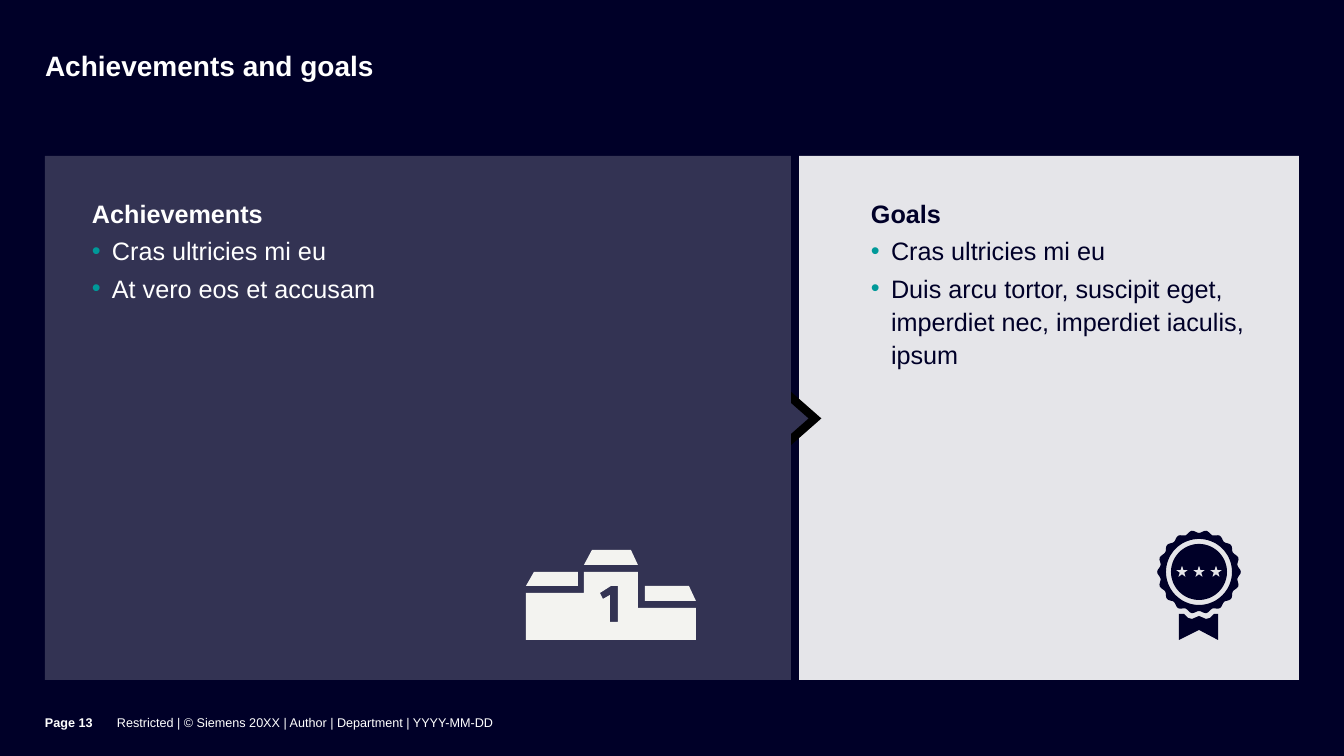
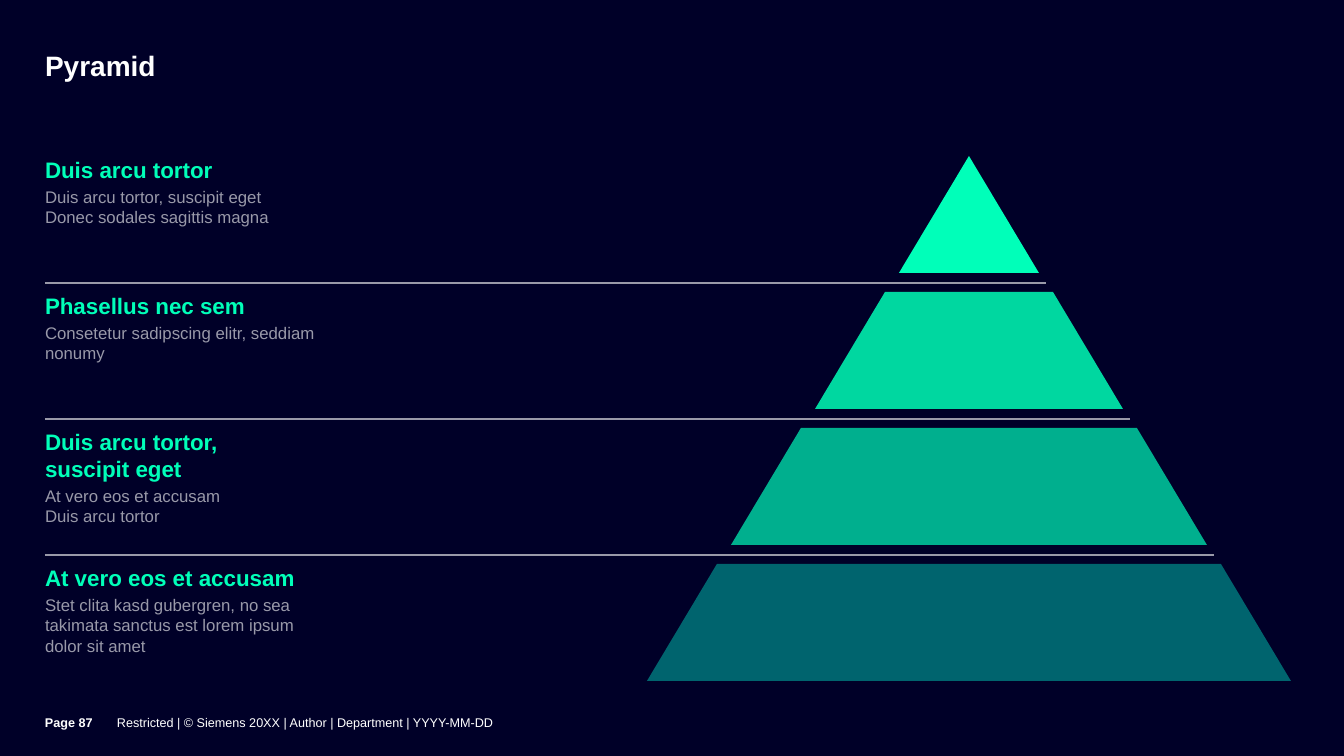
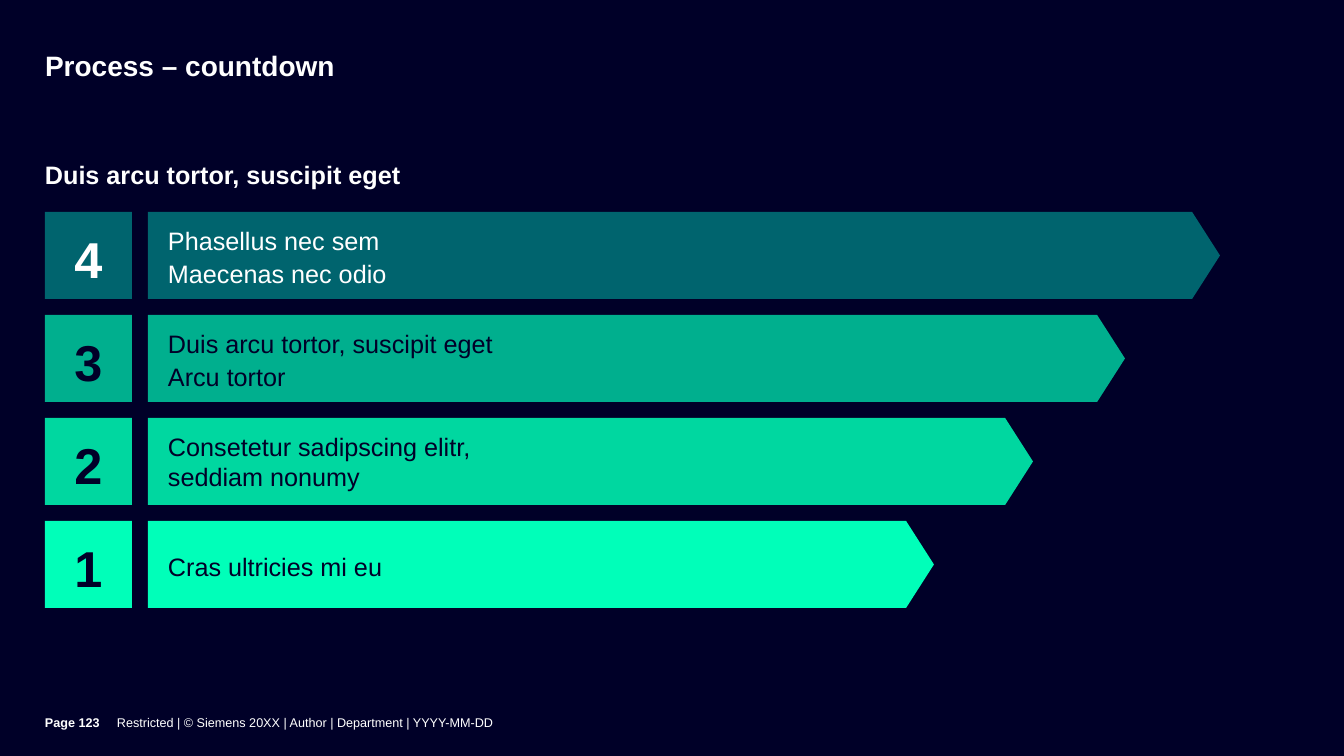
import copy
import math
from dataclasses import dataclass

from lxml import etree
from pptx import Presentation
from pptx import util as u
from pptx.dml.color import RGBColor
from pptx.enum import shapes, text
from pptx.oxml.ns import qn

PX = 12192000 / 1344
FONT = "Arial"
COLORS = {
    "night": "000028", "panel": "333353", "mist": "E5E5E9", "white": "FFFFFF",
    "black": "000000", "bullet": "009999", "gray": "9999A9", "icon": "F3F3F0",
    "mint": "00FFB9", "green": "00D7A0", "jade": "00AF8E", "petrol": "00646E",
}
FOOTER = "Restricted | © Siemens 20XX | Author | Department | YYYY-MM-DD"
LEFT, BODY_TOP = 45, 156
Point = tuple[float, float]


@dataclass(frozen=True)
class Panel:
    heading: str
    bullets: tuple[str, ...]
    left: int
    width: int
    left_inset: int
    fill: str
    color: str


@dataclass(frozen=True)
class Tier:
    heading: str
    detail: str
    fill: str


@dataclass(frozen=True)
class Step:
    number: str
    label: str
    width: int
    fill: str
    color: str = "night"
    spacing: float = 1.1


ACHIEVEMENTS = Panel("Achievements", ("Cras ultricies mi eu", "At vero eos et accusam"),
                     LEFT, 746, 47, "panel", "white")
GOALS = Panel("Goals", ("Cras ultricies mi eu",
                        "Duis arcu tortor, suscipit eget, imperdiet nec, imperdiet iaculis, ipsum"),
              799, 500, 72, "mist", "night")
TIERS = (
    Tier("Duis arcu tortor", "Duis arcu tortor, suscipit eget\vDonec sodales sagittis magna", "mint"),
    Tier("Phasellus nec sem", "Consetetur sadipscing elitr, seddiam nonumy", "green"),
    Tier("Duis arcu tortor,\vsuscipit eget", "At vero eos et accusam\vDuis arcu tortor", "jade"),
    Tier("At vero eos et accusam",
         "Stet clita kasd gubergren, no sea takimata sanctus est lorem ipsum dolor sit amet", "petrol"),
)
STEPS = (
    Step("4", "Phasellus nec sem\vMaecenas nec odio", 1072, "petrol", "white"),
    Step("3", "Duis arcu tortor, suscipit eget\vArcu tortor", 977, "jade"),
    Step("2", "Consetetur sadipscing elitr,\vseddiam nonumy", 885, "green", spacing=1.0),
    Step("1", "Cras ultricies mi eu", 786, "mint"),
)
PODIUM = [
    [(578, 586), (526, 586), (534, 572), (578, 572)],
    [(689, 586), (645, 586), (645, 601), (696, 601)],
    [(631, 550), (592, 550), (584, 565), (638, 565)],
    [(638, 608), (696, 608), (696, 640), (526, 640), (526, 593), (584, 593), (584, 572), (638, 572)],
    [(618, 586), (611, 586), (600, 593), (603, 599), (610, 595), (610, 622), (618, 622)],
]


def px(length: float) -> int:
    return round(length * PX)


def rgb(name: str) -> RGBColor:
    return RGBColor.from_string(COLORS[name])


def set_frame(frame, insets=(0, 0, 0, 0), anchor=text.MSO_ANCHOR.TOP) -> None:
    """Insets run left, top, right, bottom."""
    frame.word_wrap = True
    frame.auto_size = text.MSO_AUTO_SIZE.NONE
    frame.vertical_anchor = anchor
    frame.margin_left, frame.margin_top, frame.margin_right, frame.margin_bottom = map(px, insets)


def add_bullet(paragraph) -> None:
    properties = paragraph._p.get_or_add_pPr()
    properties.set("marL", str(px(20)))
    properties.set("indent", str(-px(20)))
    color = etree.SubElement(properties, qn("a:buClr"))
    etree.SubElement(color, qn("a:srgbClr"), val=COLORS["bullet"])
    etree.SubElement(properties, qn("a:buFont"), typeface=FONT)
    etree.SubElement(properties, qn("a:buChar"), char="•")


def write(frame, content: str, *, size: int, color: str, bold=False, align=text.PP_ALIGN.LEFT,
          spacing=1.0, before=0, after=0, bullet=False) -> None:
    """Fill the empty first paragraph, or add one after the text already there."""
    paragraph = frame.add_paragraph() if frame.text else frame.paragraphs[0]
    paragraph.text = content
    if bullet:
        add_bullet(paragraph)
    paragraph.alignment = align
    paragraph.line_spacing = spacing
    paragraph.space_before, paragraph.space_after = u.Pt(before), u.Pt(after)
    for run in paragraph.runs:
        run.font.name, run.font.size, run.font.bold = FONT, u.Pt(size), bold
        run.font.color.rgb = rgb(color)
    for line_break in paragraph._p.findall(qn("a:br")):
        line_break.append(copy.deepcopy(paragraph.runs[0]._r.rPr))


def paint(shape, fill: str):
    shape.shadow.inherit = False
    shape.fill.solid()
    shape.fill.fore_color.rgb = rgb(fill)
    shape.line.fill.background()
    return shape


def add_block(slide, kind, left: int, top: int, width: int, height: int, fill: str):
    return paint(slide.shapes.add_shape(kind, px(left), px(top), px(width), px(height)), fill)


def add_text_frame(slide, left: int, top: int, width: int, height: int, **layout):
    frame = slide.shapes.add_textbox(px(left), px(top), px(width), px(height)).text_frame
    set_frame(frame, **layout)
    return frame


def add_outline(slide, contours: list[list[Point]], fill: str):
    """Draw closed contours as one shape; a contour inside another is a hole."""
    tenths = [[(round(x * 10), round(y * 10)) for x, y in contour] for contour in contours]
    builder = slide.shapes.build_freeform(*tenths[0][0], scale=PX / 10)
    for index, (start, *others) in enumerate(tenths):
        if index:
            builder.move_to(*start)
        builder.add_line_segments(others, close=True)
    return paint(builder.convert_to_shape(), fill)


def add_rule(slide, left: int, right: int, y: int) -> None:
    rule = slide.shapes.add_connector(shapes.MSO_CONNECTOR.STRAIGHT, px(left), px(y), px(right), px(y))
    rule.line.color.rgb = rgb("gray")
    rule.line.width = u.Pt(1)
    etree.SubElement(rule._element.spPr, qn("a:effectLst"))


def add_page(presentation, title: str, number: int):
    slide = presentation.slides.add_slide(presentation.slide_layouts[5])
    holder = slide.shapes.title
    holder.left, holder.top, holder.width, holder.height = map(px, (LEFT, 52, 1088, 64))
    set_frame(holder.text_frame, (0, 0, 35, 2))
    write(holder.text_frame, title, size=20, color="white", bold=True, spacing=0.9)
    for left, width, content, bold in ((117, 1016, FOOTER, False), (LEFT, 72, f"Page {number}", True)):
        frame = add_text_frame(slide, left, 696, width, 60, insets=(0, 0, 0, 7),
                               anchor=text.MSO_ANCHOR.MIDDLE)
        write(frame, content, size=9, color="white", bold=bold)
    return slide


def add_panel(slide, panel: Panel) -> None:
    block = add_block(slide, shapes.MSO_SHAPE.RECTANGLE, panel.left, BODY_TOP, panel.width, 524, panel.fill)
    frame = block.text_frame
    set_frame(frame, (panel.left_inset, 39, 47, 39))
    style = dict(size=18, color=panel.color, spacing=1.1, after=3)
    write(frame, panel.heading, bold=True, **style)
    for item in panel.bullets:
        write(frame, item, bullet=True, **style)


def around(center: Point, radii: list[float], start=0.0) -> list[Point]:
    """Points at equal angles, one for each radius."""
    turn = 2 * math.pi / len(radii)
    return [(center[0] + radius * math.cos(start + i * turn),
             center[1] + radius * math.sin(start + i * turn)) for i, radius in enumerate(radii)]


def badge_contours() -> list[list[Point]]:
    x, y = center = (1199, 572)
    lobes = [40.4 + 1.4 * math.cos(18 * 2 * math.pi * i / 144) for i in range(144)]
    stars = [around((x + shift, y), [6.5, 2.5] * 5, -math.pi / 2) for shift in (-17, 0, 17)]
    ribbon = [(1179, 614), (1184, 614), (1188, 618), (1192, 619), (1199, 616), (1206, 619),
              (1210, 618), (1214, 614), (1218, 614), (1218, 640), (1199, 630), (1179, 640)]
    return [around(center, lobes), around(center, [33] * 72), around(center, [28] * 72), *stars, ribbon]


def build_goals(presentation) -> None:
    slide = add_page(presentation, "Achievements and goals", 13)
    add_panel(slide, GOALS)
    pointer = add_block(slide, shapes.MSO_SHAPE.ISOSCELES_TRIANGLE, 651, 359, 209, 119, "panel")
    pointer.rotation = 90
    pointer.line.color.rgb = rgb("black")
    pointer.line.width = u.Pt(6)
    etree.SubElement(pointer._element.spPr.find(qn("a:ln")), qn("a:miter"), lim="800000")
    add_panel(slide, ACHIEVEMENTS)
    add_outline(slide, PODIUM, "icon")
    add_outline(slide, badge_contours(), "night")


def build_pyramid(presentation) -> None:
    slide = add_page(presentation, "Pyramid", 87)
    center, pitch, height, growth, flare = 969, 136, 117, 84, 70
    for index, tier in enumerate(TIERS):
        top, half = BODY_TOP + index * pitch, index * growth
        bottom, base = top + height, half + flare
        if index:
            add_rule(slide, LEFT, 962 + half, top - 9)
        frame = add_text_frame(slide, LEFT, top, 278, height)
        write(frame, tier.heading, size=16, color="mint", bold=True)
        write(frame, tier.detail, size=12, color="gray", before=3)
        upper = [(center - half, top), (center + half, top)] if half else [(center, top)]
        add_outline(slide, [upper + [(center + base, bottom), (center - base, bottom)]], tier.fill)


def build_countdown(presentation) -> None:
    slide = add_page(presentation, "Process – countdown", 123)
    frame = add_text_frame(slide, LEFT, BODY_TOP, 826, 39, insets=(0, 3, 0, 0))
    write(frame, "Duis arcu tortor, suscipit eget", size=18, color="white", bold=True)
    side, pitch = 87, 103
    for index, step in enumerate(STEPS):
        top = 212 + index * pitch
        tile = add_block(slide, shapes.MSO_SHAPE.RECTANGLE, LEFT, top, side, side, step.fill)
        set_frame(tile.text_frame, anchor=text.MSO_ANCHOR.MIDDLE)
        write(tile.text_frame, step.number, size=36, color=step.color, bold=True,
              align=text.PP_ALIGN.CENTER, spacing=1.1)
        arrow = add_block(slide, shapes.MSO_SHAPE.PENTAGON, LEFT + pitch, top, step.width, side, step.fill)
        arrow.adjustments[0] = 0.32
        set_frame(arrow.text_frame, (20, 8, 20, 8), text.MSO_ANCHOR.MIDDLE)
        write(arrow.text_frame, step.label, size=18, color=step.color, spacing=step.spacing)


def main() -> None:
    presentation = Presentation()
    presentation.slide_width, presentation.slide_height = px(1344), px(756)
    background = presentation.slide_master.background.fill
    background.solid()
    background.fore_color.rgb = rgb("night")
    build_goals(presentation)
    build_pyramid(presentation)
    build_countdown(presentation)
    presentation.save("out.pptx")


if __name__ == "__main__":
    main()
